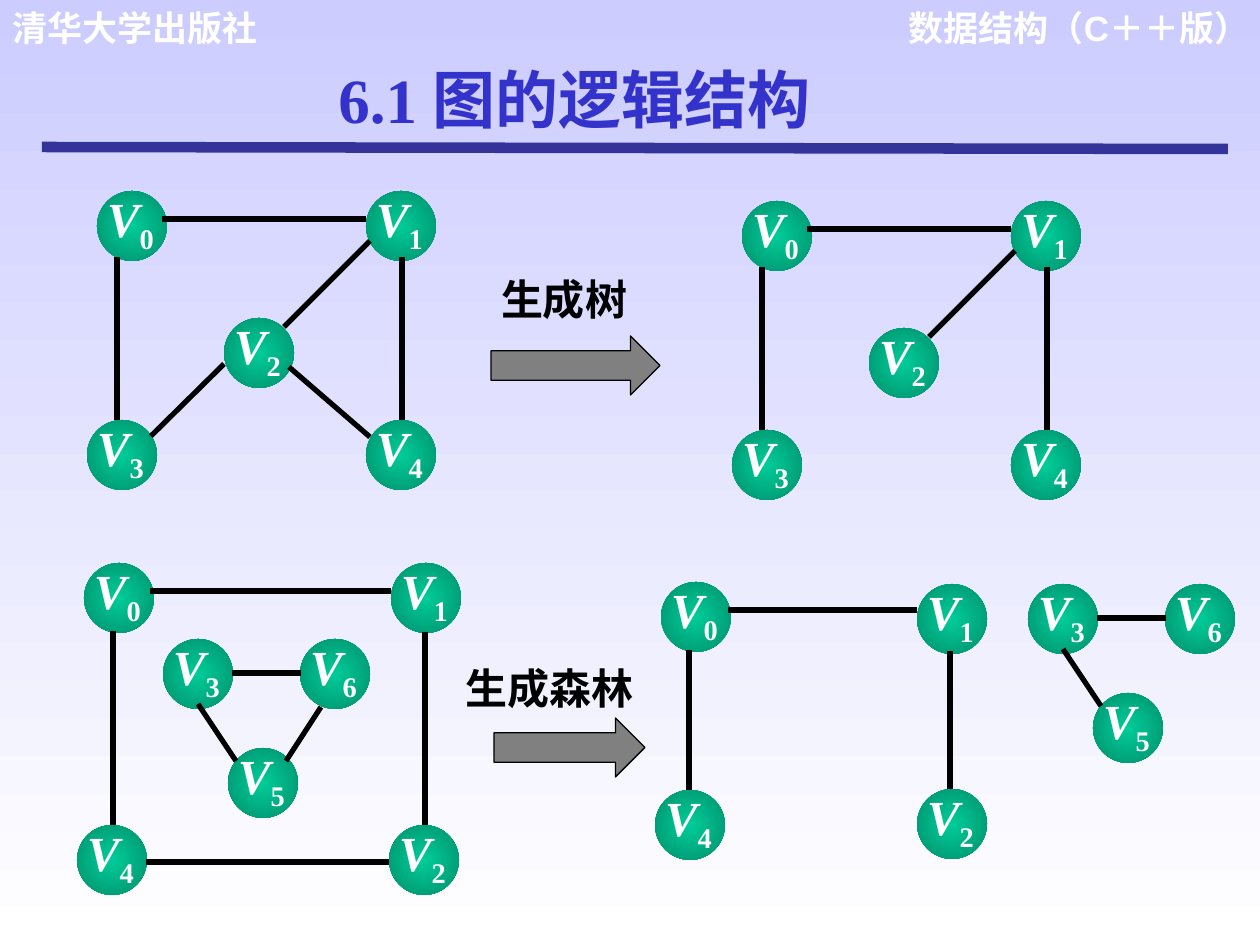
from lxml import etree
from pptx import Presentation
from pptx.dml.color import RGBColor
from pptx.enum.shapes import MSO_CONNECTOR as Connector, MSO_SHAPE as Shape
from pptx.enum.text import PP_ALIGN as Align
from pptx.oxml import parse_xml
from pptx.oxml.ns import nsdecls, qn
from pptx.util import Emu, Pt

SCALE = 914400 / 126
color = RGBColor.from_string


def px(*lengths):
    return [Emu(round(length * SCALE)) for length in lengths]


def write(place, align, size, face, ink, *texts):
    box = page.shapes.add_textbox(*px(*place))
    box.text_frame.word_wrap = True
    para = box.text_frame.paragraphs[0]
    para.alignment = align
    for text in texts:
        span = para.add_run()
        span.text = text
        span.font.size = Pt(size)
        span.font.name = face
        span.font.bold = True
        span.font.color.rgb = color(ink)
    return box


deck = Presentation()
deck.slide_width, deck.slide_height = px(1260, 945)
page = deck.slides.add_slide(deck.slide_layouts[6])
backdrop = page.background.fill
backdrop.gradient()
backdrop.gradient_angle = 270
for stop, ink in zip(backdrop.gradient_stops, ("CCCCFF", "FFFFFF")):
    stop.color.rgb = color(ink)

write((882, 0, 380, 54), Align.RIGHT, 20, "Arial", "FFFFFF", "数据结构（C＋＋版）")
write((0, 0, 341, 54), Align.LEFT, 20, "Arial", "FFFFFF", "清华大学出版社")

square_nodes = {0: (97, 191), 1: (366, 191), 2: (224, 318), 3: (87, 420), 4: (366, 420)}
tree_edges = [(162, 219, 366, 219), (370, 241, 284, 327), (402, 257, 402, 420), (117, 257, 117, 420)]
cycle_edges = [(224, 364, 151, 436), (289, 367, 370, 437)]
triangle_nodes = {3: (163, 639), 6: (300, 639), 5: (228, 748)}
branch_edges = [(232, 673, 301, 673), (198, 704, 236, 761)]
outer_nodes = {0: (84, 563), 1: (391, 563), 4: (77, 825), 2: (389, 825)}
outer_edges = [(146, 862, 389, 862), (150, 591, 391, 591), (425, 632, 425, 825), (113, 631, 113, 825)]
path_nodes = {0: (661, 582), 1: (917, 584), 4: (655, 790), 2: (917, 789)}
path_edges = [(728, 610, 917, 610), (950, 651, 950, 789), (689, 650, 689, 790)]

graphs = [
    (0, 0, square_nodes, tree_edges + cycle_edges),
    (645, 10, square_nodes, tree_edges),
    (0, 0, outer_nodes, outer_edges),
    (0, 0, triangle_nodes, branch_edges + [(321, 707, 286, 761)]),
    (0, 0, path_nodes, path_edges),
    (865, -55, triangle_nodes, branch_edges),
]
lines = [(42, 147, 1228, 149, "333399", 6)]

for shift_x, shift_y, nodes, edges in graphs:
    for number, (left, top) in nodes.items():
        left, top = left + shift_x, top + shift_y
        node = page.shapes.add_shape(Shape.OVAL, *px(left, top, 70, 70))
        node.shadow.inherit = False
        node.line.fill.background()
        node.fill.gradient()
        for stop, ink in zip(node.fill.gradient_stops, ("00CC99", "008F6B")):
            stop.color.rgb = color(ink)
        gradient = node._element.spPr.find(qn("a:gradFill"))
        gradient.replace(gradient.find(qn("a:lin")), parse_xml(
            f'<a:path {nsdecls("a")} path="circle">'
            '<a:fillToRect l="50000" t="50000" r="50000" b="50000"/></a:path>'))

        box = write((left + 9, top - 7, 64, 82), Align.JUSTIFY, 28, "Times New Roman", "FFFFFF",
                    "V", str(number))
        frame = box.text_frame
        frame.margin_left, frame.margin_top, frame.margin_right, frame.margin_bottom = px(1, 4, 0, 1)
        letter, index = frame.paragraphs[0].runs
        letter.font.italic = True
        index._r.get_or_add_rPr().set("baseline", "-25000")
    for x1, y1, x2, y2 in edges:
        lines.append((x1 + shift_x, y1 + shift_y, x2 + shift_x, y2 + shift_y, "000000", 3))

for x1, y1, x2, y2, ink, weight in lines:
    line = page.shapes.add_connector(Connector.STRAIGHT, *px(x1, y1, x2, y2))
    line.line.color.rgb = color(ink)
    line.line.width = Pt(weight)
    etree.SubElement(line._element.spPr, qn("a:effectLst"))

for arrow_place, label_place, label in [
    ((491, 336, 169, 59), (485, 267, 158, 63), "生成树"),
    ((494, 718, 151, 59), (443, 656, 214, 63), "生成森林"),
]:
    arrow = page.shapes.add_shape(Shape.RIGHT_ARROW, *px(*arrow_place))
    arrow.shadow.inherit = False
    arrow.fill.solid()
    arrow.fill.fore_color.rgb = color("808080")
    arrow.line.color.rgb = color("000000")
    arrow.line.width = Pt(0.75)
    write(label_place, Align.CENTER, 24, "Arial", "000000", label)

title = write((326, 54, 525, 88), Align.LEFT, 36, "Times New Roman", "3333CC", "6.1 图的逻辑结构")
title_span = title.text_frame.paragraphs[0].runs[0]
title_span._r.get_or_add_rPr().find(qn("a:solidFill")).addnext(parse_xml(
    f'<a:effectLst {nsdecls("a")}><a:outerShdw blurRad="38100" dist="38100" dir="2700000">'
    '<a:srgbClr val="000000"><a:alpha val="43000"/></a:srgbClr></a:outerShdw></a:effectLst>'))

deck.save("out.pptx")
